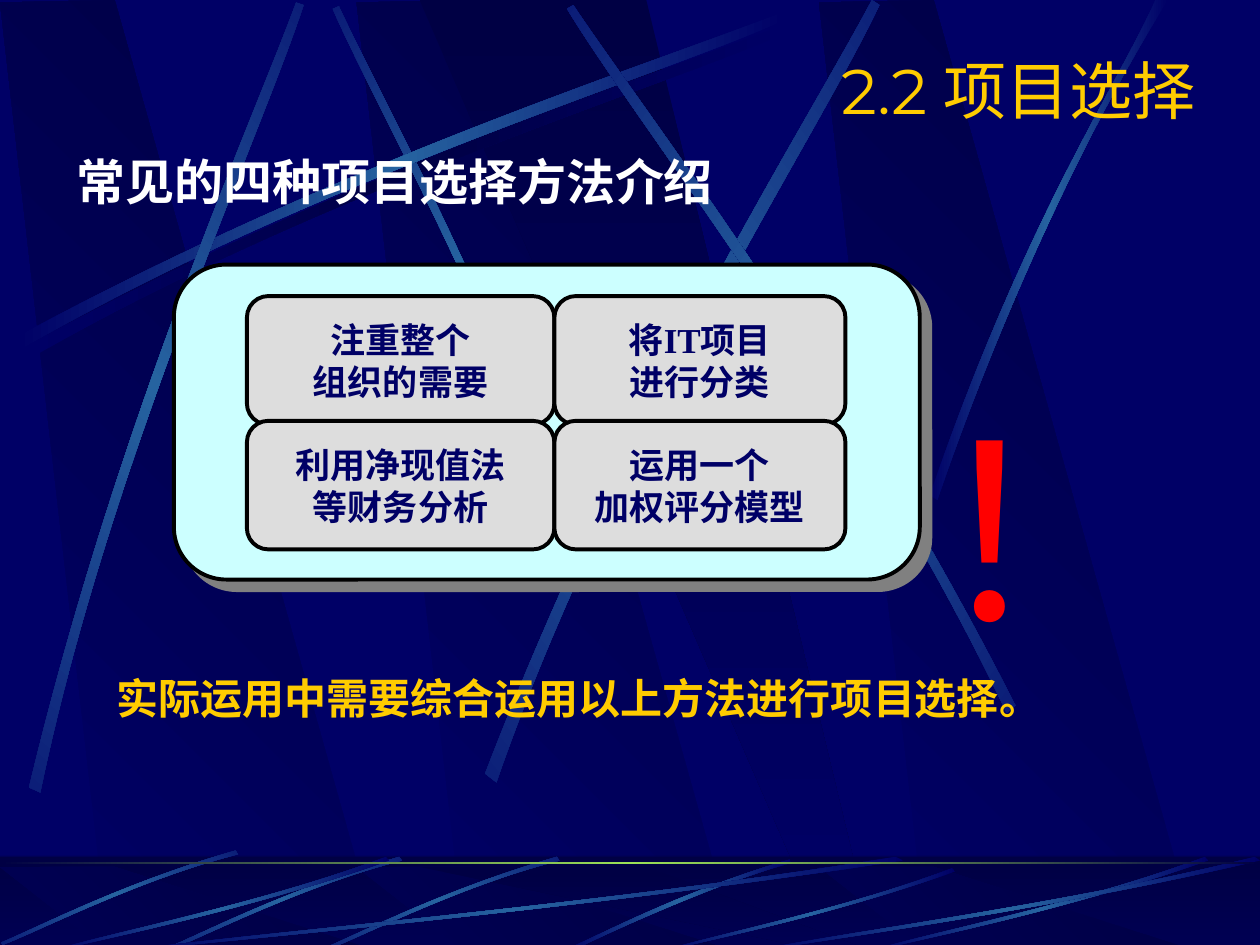
from math import cos, radians, sin

from lxml import etree
from pptx import Presentation
from pptx.dml.color import RGBColor
from pptx.enum.lang import MSO_LANGUAGE_ID
from pptx.enum.shapes import MSO_SHAPE
from pptx.enum.text import MSO_ANCHOR, MSO_AUTO_SIZE, PP_ALIGN
from pptx.oxml.ns import qn
from pptx.util import Cm, Pt

RECT, ROUND = MSO_SHAPE.RECTANGLE, MSO_SHAPE.FLOWCHART_ALTERNATE_PROCESS
LEFT, MID, RIGHT = PP_ALIGN.LEFT, PP_ALIGN.CENTER, PP_ALIGN.RIGHT
TOP, CENTER = MSO_ANCHOR.TOP, MSO_ANCHOR.MIDDLE
FIXED, CHINESE = MSO_AUTO_SIZE.NONE, MSO_LANGUAGE_ID.SIMPLIFIED_CHINESE

NAVY, DARK, GLOW, GOLD = "000066", "000044", "2663A0", "FFCC00"
TITLE = "2.2 项目选择"
HEAD = "常见的四种项目选择方法介绍"
CELLS = [
    [("注重整个", "组织的需要"), ("将IT项目", "进行分类")],
    [("利用净现值法", "等财务分析"), ("运用一个", "加权评分模型")],
]
COLS = [(1.96, 2.44), (4.4, 2.31)]
ROWS = [2.35, 3.34]
NOTE = "实际运用中需要综合运用以上方法进行项目选择。"

SLANT = [(0.86, 7.5), (3.02, 7.52), (0.91, 0), (0, 0.02)]
WEDGE = [(3.33, 0), (6.58, 7.51), (6.94, 7.51), (5.13, 0)]
BEAM = [(0.14, 2.67), (2.78, 1.25), (5.18, 0.51), (6.2, 0.1),
        (6.23, 0.16), (5.22, 0.61), (2.48, 1.43), (0.17, 2.77)]
RAYS = [
    (45, [(4.6, 4.36), (3.91, 2.34), (3.02, 0.77), (2.69, 0.05),
          (2.64, 0.07), (2.95, 0.79), (3.98, 2.58), (4.54, 4.39)]),
    (0, BEAM),
    (311.7, [(0.23, 6.25), (0.93, 3.34), (1.97, 1.05), (2.35, 0.02),
             (2.41, 0.04), (2.07, 1.08), (0.86, 3.68), (0.32, 6.29)]),
    (321.6, [(3.85, 6.14), (4.98, 3.2), (6.38, 1.02), (6.92, 0),
             (6.98, 0.04), (6.49, 1.08), (4.86, 3.55), (3.94, 6.21)]),
    (34.8, [(8.06, 5.6), (6.7, 2.93), (5.16, 0.95), (4.55, 0.04),
            (4.5, 0.07), (5.07, 1.01), (6.85, 3.25), (7.99, 5.66)]),
    (0, [(7.38, 3.93), (8.14, 1.73), (8.88, 0.66), (9.17, 0),
         (9.27, 0), (8.36, 1.45), (7.69, 3.22), (7.44, 3.97)]),
]
ARC = [(6.27, 6.82), (5.37, 7.09), (4.77, 7.42), (4.48, 7.54),
       (4.53, 7.55), (4.9, 7.37), (5.71, 7), (6.28, 6.85)]
TILT = [(4.42, 6.8), (3.55, 7.05), (2.87, 7.4), (2.56, 7.53),
        (2.57, 7.55), (2.88, 7.43), (3.65, 7.03), (4.44, 6.83)]
SHIFTS = [(0, 0), (-1.25, 0), (-2.55, -0.05)]
SWEEP = [(1, 0.04), (0.57, 0.57), (0.17, 0.85), (0, 1),
         (0, 0.99), (0.16, 0.81), (0.61, 0.51), (0.99, 0)]
BOXES = [(1, 6.8, 6.17, 0.75), (0.42, 6.8, 2.67, 0.75), (5.27, 6.89, 2.31, 0.66),
         (6.92, 6.8, 2.67, 0.75), (6, 6.8, 4, 0.75)]


def inch(val):
    return Cm(val * 2.54)


def rgb(code):
    return RGBColor.from_string(code)


def node(parent, tag, **attrs):
    return etree.SubElement(parent, qn(tag), {k: str(v) for k, v in attrs.items()})


def blend(shape, tints, angle=0):
    shape.shadow.inherit = False
    shape.line.fill.background()
    shape.fill.gradient()
    props = shape._element.spPr
    stops = props.find(".//" + qn("a:gsLst"))
    for old in list(stops):
        stops.remove(old)
    for i, tint in enumerate(tints):
        stop = node(stops, "a:gs", pos=i * 100000 // (len(tints) - 1))
        node(stop, "a:srgbClr", val=tint)
    props.find(".//" + qn("a:lin")).set("ang", str(angle * 60000))


def move(pts, dx, dy):
    return [(x + dx, y + dy) for x, y in pts]


def fit(pts, x, y, w, h):
    return [(x + px * w, y + py * h) for px, py in pts]


def spin(x, y, turn):
    co, si = cos(radians(turn)), sin(radians(turn))
    return x * co - y * si, x * si + y * co


def outline(slide, pts):
    spots = [(inch(x), inch(y)) for x, y in pts]
    pen = slide.shapes.build_freeform(*spots[0])
    pen.add_line_segments(spots[1:], close=True)
    return pen.convert_to_shape()


def bend(shape):
    lines = shape._element.spPr.findall(".//" + qn("a:lnTo"))
    for part in (lines[:3], lines[4:7]):
        arc = etree.Element(qn("a:cubicBezTo"))
        part[0].addprevious(arc)
        for line in part:
            arc.append(line[0])
            line.getparent().remove(line)


def streak(slide, pts, turn=0, tint=GLOW):
    shape = outline(slide, [spin(x, y, -turn) for x, y in pts])
    bend(shape)
    blend(shape, [NAVY, tint, NAVY])
    half, rise = shape.width / 2, shape.height / 2
    x, y = spin(shape.left + half, shape.top + rise, turn)
    shape.left, shape.top = round(x - half), round(y - rise)
    shape.rotation = turn


def bands(slide, top, scale):
    for dx in (2.83, 0, 6.5):
        pts = fit(SLANT, dx, top, 1, scale)
        blend(outline(slide, pts), [NAVY, DARK], 315)
    blend(outline(slide, fit(WEDGE, 0, top, 1, scale)), [DARK, NAVY], 90)


def block(slide, kind, box, fill, line=None):
    shape = slide.shapes.add_shape(kind, *map(inch, box))
    shape.shadow.inherit = False
    shape.fill.solid()
    shape.fill.fore_color.rgb = rgb(fill)
    if line:
        shape.line.color.rgb = rgb(line)
        shape.line.width = Pt(2.25)
    else:
        shape.line.fill.background()
    return shape


def write(shape, lines, size, face, tint, bold=False, align=LEFT, anchor=CENTER, wrap=False):
    frame = shape.text_frame
    frame.auto_size, frame.word_wrap = FIXED, wrap
    frame.vertical_anchor = anchor
    for i, line in enumerate(lines):
        para = frame.add_paragraph() if i else frame.paragraphs[0]
        para.alignment, para.space_before = align, Pt(0)
        run = para.add_run()
        run.text = line
        font = run.font
        font.size, font.name, font.bold = Pt(size), face, bold
        font.color.rgb, font.language_id = rgb(tint), CHINESE


def place(shape, box):
    shape.left, shape.top, shape.width, shape.height = map(inch, box)


def backdrop(slide, master):
    master.background.fill.solid()
    master.background.fill.fore_color.rgb = rgb(NAVY)
    bands(slide, 0, 1)
    streak(slide, move(BEAM, 0.06, 0.08), tint=DARK)
    for turn, pts in RAYS:
        streak(slide, pts, turn)
    blend(block(slide, RECT, (0, 6.8, 10, 0.75), DARK), [DARK, NAVY], 90)
    bands(slide, 6.88, 0.09)
    veil = block(slide, RECT, (0, 6.79, 10, 0.75), DARK)
    node(veil._element.spPr.find(".//" + qn("a:srgbClr")), "a:alpha", val=50000)
    streak(slide, ARC)
    for shift in SHIFTS:
        streak(slide, move(TILT, *shift), 314.9)
    for box in BOXES:
        streak(slide, fit(SWEEP, *box))
    blend(block(slide, RECT, (0, 6.84, 10, 0.02), DARK), [DARK, "9CE157", DARK])
    tree = master.shapes._spTree
    decor = [shape for shape in slide.shapes if not shape.is_placeholder]
    for i, shape in enumerate(decor):
        shape._element.nvSpPr.cNvPr.set("id", str(100 + i))
        tree.insert(2 + i, shape._element)


def main():
    """Build the project selection slide."""
    deck = Presentation()
    deck.slide_width, deck.slide_height = inch(10), inch(7.5)
    slide = deck.slides.add_slide(deck.slide_layouts[1])
    backdrop(slide, deck.slide_master)

    title, body = slide.placeholders
    place(title, (1.09, 0.36, 8.5, 0.7))
    write(title, [TITLE], 36, "Montserrat", GOLD, align=RIGHT, wrap=True)
    place(body, (0.51, 1.15, 8.5, 4.5))
    props = body.text_frame.paragraphs[0]._p.get_or_add_pPr()
    props.set("marL", str(inch(0.38)))
    props.set("indent", str(inch(-0.38)))
    node(props, "a:buNone")
    write(body, [HEAD], 28, "Arial", "FFFFFF", True, anchor=TOP, wrap=True)

    panel = block(slide, ROUND, (1.38, 2.1, 5.92, 2.5), "CCFFFF", "000000")
    glow = panel._element.spPr.find(qn("a:effectLst"))
    cast = node(glow, "a:outerShdw", dist=Pt(8.5), dir=45 * 60000, algn="ctr", rotWithShape=0)
    node(cast, "a:srgbClr", val="808080")
    for y, row in zip(ROWS, CELLS):
        for (x, w), lines in zip(COLS, row):
            cell = block(slide, ROUND, (x, y, w, 1.02), "DDDDDD", "000000")
            write(cell, lines, 20, "Times New Roman", NAVY, True, MID)

    note = slide.shapes.add_textbox(*map(inch, (0.83, 5.25, 7.75, 0.58)))
    write(note, [NOTE], 24, "Arial", GOLD, True)
    mark = slide.shapes.add_textbox(*map(inch, (7.28, 2.97, 2.11, 2.4)))
    write(mark, ["！"], 138, "Times New Roman", "FF0000", anchor=TOP)
    deck.save("out.pptx")


if __name__ == "__main__":
    main()
